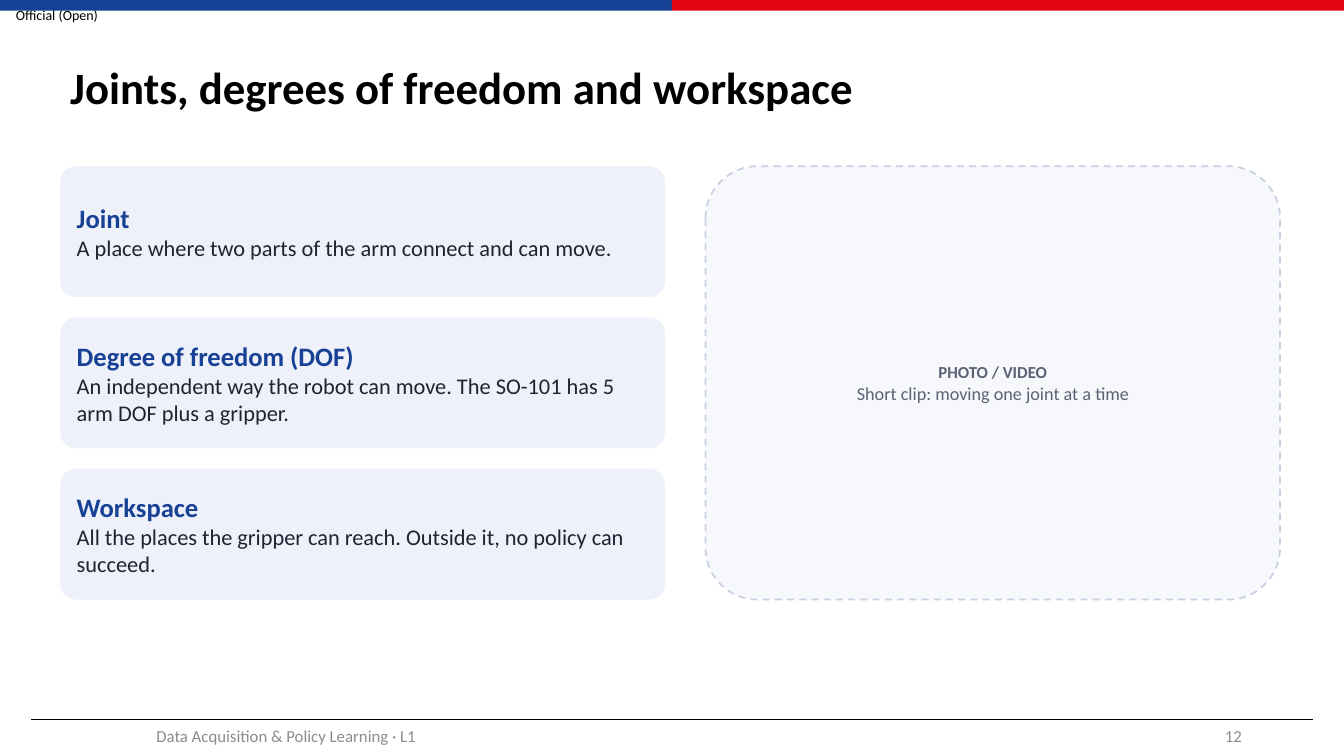
"""Build the slide on joints, degrees of freedom and workspace."""
from dataclasses import dataclass
from typing import Any, Optional

from lxml.etree import SubElement
from pptx import Presentation
from pptx.dml.color import RGBColor
from pptx.enum.dml import MSO_LINE
from pptx.enum.shapes import MSO_CONNECTOR, MSO_SHAPE as SHAPE
from pptx.enum.text import MSO_ANCHOR as ANCHOR, MSO_AUTO_SIZE, PP_ALIGN as ALIGN
from pptx.oxml.ns import qn
from pptx.util import Cm, Pt

FONT = "Calibri"
BLACK = RGBColor(0x00, 0x00, 0x00)
BLUE = RGBColor(0x16, 0x41, 0x94)
RED = RGBColor(0xE3, 0x06, 0x13)
GREY = RGBColor(0x8C, 0x8C, 0x8C)
INK = RGBColor(0x1F, 0x24, 0x33)
SLATE = RGBColor(0x5B, 0x62, 0x75)
CARD_FILL = RGBColor(0xEE, 0xF1, 0xF9)
CLIP_FILL = RGBColor(0xF7, 0xF8, 0xFC)
CLIP_EDGE = RGBColor(0xC9, 0xD0, 0xE3)

WIDTH, HEIGHT = 33.87, 19.05
TOP, CARD_HEIGHT, CARD_PITCH = 4.19, 3.3, 3.81
NO_INSETS = (0, 0, 0, 0)
PANEL_INSETS = (0.3, 0.15, 0.3, 0.15)
TEXT_INSETS = (0.25, 0.13, 0.25, 0.13)


@dataclass(frozen=True)
class Box:
    left: float
    top: float
    width: float
    height: float


@dataclass(frozen=True)
class Line:
    text: str
    size: float
    color: RGBColor
    bold: bool = False


@dataclass(frozen=True)
class Term:
    name: str
    meaning: str


TERMS = (
    Term("Joint", "A place where two parts of the arm connect and can move."),
    Term("Degree of freedom (DOF)",
         "An independent way the robot can move. The SO-101 has 5 arm DOF plus a gripper."),
    Term("Workspace",
         "All the places the gripper can reach. Outside it, no policy can succeed."),
)


def apply(target: Any, values: dict[str, Any]) -> None:
    """Set each named attribute on the target."""
    for name, value in values.items():
        setattr(target, name, value)


def place(shape: Any, box: Box) -> None:
    """Move and size a shape."""
    apply(shape, {"left": Cm(box.left), "top": Cm(box.top),
                  "width": Cm(box.width), "height": Cm(box.height)})


def write(shape: Any, lines: tuple[Line, ...], align: ALIGN = ALIGN.LEFT,
          insets: tuple[float, ...] = TEXT_INSETS) -> None:
    """Fill a shape with one paragraph per line."""
    left, top, right, bottom = map(Cm, insets)
    frame = shape.text_frame
    apply(frame, {"word_wrap": True, "auto_size": MSO_AUTO_SIZE.NONE,
                  "vertical_anchor": ANCHOR.MIDDLE,
                  "margin_left": left, "margin_top": top,
                  "margin_right": right, "margin_bottom": bottom})
    for index, line in enumerate(lines):
        paragraph = frame.add_paragraph() if index else frame.paragraphs[0]
        paragraph.alignment = align
        run = paragraph.add_run()
        run.text = line.text
        apply(run.font, {"name": FONT, "size": Pt(line.size), "bold": line.bold})
        run.font.color.rgb = line.color


def add_label(slide: Any, box: Box, line: Line, align: ALIGN,
              insets: tuple[float, ...] = TEXT_INSETS) -> None:
    """Add a one-line text box."""
    label = slide.shapes.add_textbox(*map(Cm, (box.left, box.top, box.width, box.height)))
    write(label, (line,), align, insets)


def add_panel(slide: Any, kind: SHAPE, box: Box, fill: RGBColor,
              edge: Optional[RGBColor] = None) -> Any:
    """Add a filled shape, with a dashed edge if a colour is given."""
    panel = slide.shapes.add_shape(kind, *map(Cm, (box.left, box.top, box.width, box.height)))
    panel.shadow.inherit = False
    panel.fill.solid()
    panel.fill.fore_color.rgb = fill
    if kind == SHAPE.ROUNDED_RECTANGLE:
        panel.adjustments[0] = 0.12
    if edge is None:
        panel.line.fill.background()
    else:
        panel.line.color.rgb = edge
        apply(panel.line, {"width": Pt(1.25), "dash_style": MSO_LINE.DASH})
    return panel


def add_footer_rule(slide: Any) -> None:
    """Add the thin line above the footer."""
    rule = slide.shapes.add_connector(MSO_CONNECTOR.STRAIGHT, *map(Cm, (0.79, 18.13, 33.1, 18.13)))
    rule.line.color.rgb = BLACK
    rule.line.width = Pt(0.5)
    SubElement(rule._element.spPr, qn("a:effectLst"))


def main() -> None:
    """Build and save the slide."""
    deck = Presentation()
    apply(deck, {"slide_width": Cm(WIDTH), "slide_height": Cm(HEIGHT)})
    slide = deck.slides.add_slide(deck.slide_layouts[5])

    add_label(slide, Box(0, 0, 2.87, 0.74), Line("Official (Open)", 10, BLACK),
              ALIGN.CENTER, NO_INSETS)
    for index, color in enumerate((BLUE, RED)):
        add_panel(slide, SHAPE.RECTANGLE, Box(index * WIDTH / 2, 0, WIDTH / 2, 0.27), color)
    add_footer_rule(slide)

    title = slide.shapes.title
    place(title, Box(1.52, 0.76, 30.68, 3))
    write(title, (Line("Joints, degrees of freedom and workspace", 32, BLACK, True),))
    title.text_frame.paragraphs[0].line_spacing = 0.9

    add_label(slide, Box(1.5, 18.03, 11.43, 1.02),
              Line("Data Acquisition & Policy Learning · L1", 12, GREY), ALIGN.CENTER)
    add_label(slide, Box(23.93, 18.03, 7.62, 1.02), Line("12", 12, GREY), ALIGN.RIGHT)

    for index, term in enumerate(TERMS):
        box = Box(1.52, TOP + index * CARD_PITCH, 15.24, CARD_HEIGHT)
        card = add_panel(slide, SHAPE.ROUNDED_RECTANGLE, box, CARD_FILL)
        write(card, (Line(term.name, 19, BLUE, True), Line(term.meaning, 16, INK)),
              insets=PANEL_INSETS)

    clip_height = (len(TERMS) - 1) * CARD_PITCH + CARD_HEIGHT
    clip = add_panel(slide, SHAPE.ROUNDED_RECTANGLE, Box(17.78, TOP, 14.48, clip_height),
                     CLIP_FILL, CLIP_EDGE)
    write(clip, (Line("PHOTO / VIDEO", 12, SLATE, True),
                 Line("Short clip: moving one joint at a time", 13, SLATE)),
          ALIGN.CENTER, PANEL_INSETS)

    deck.save("out.pptx")


if __name__ == "__main__":
    main()
